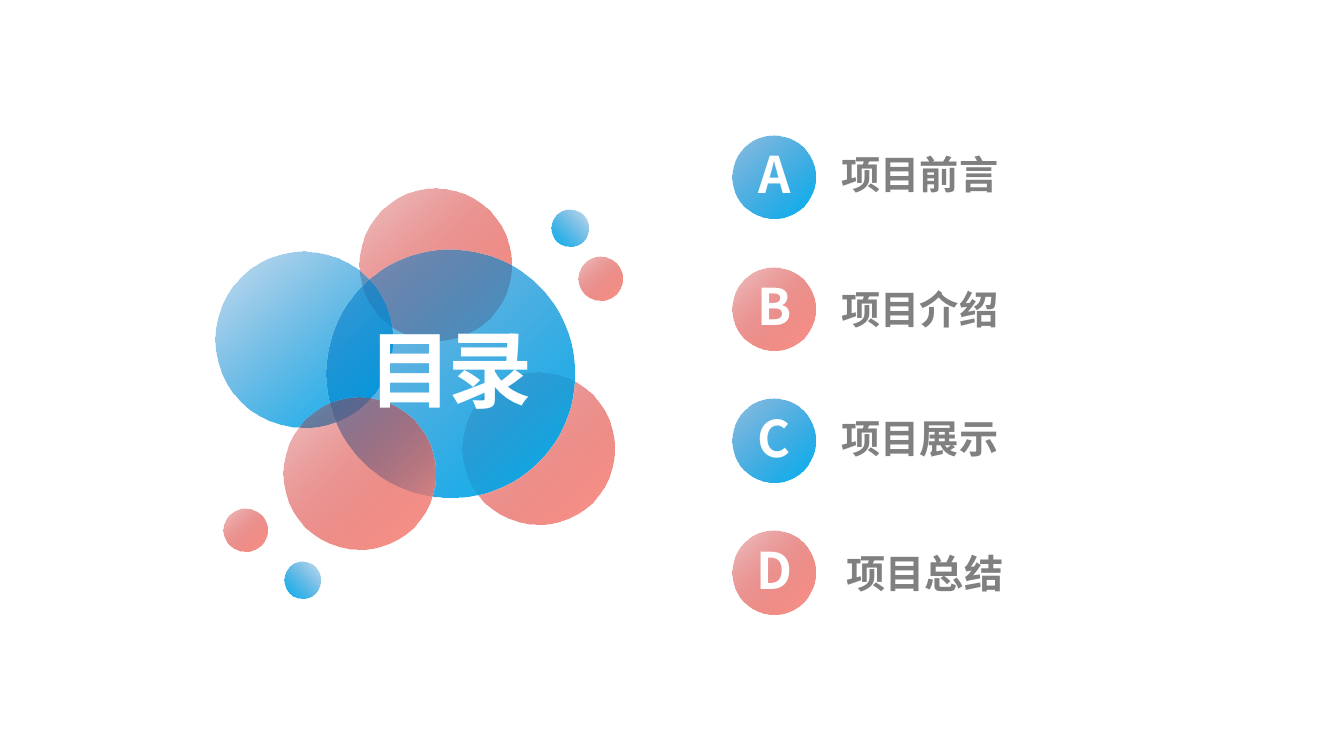
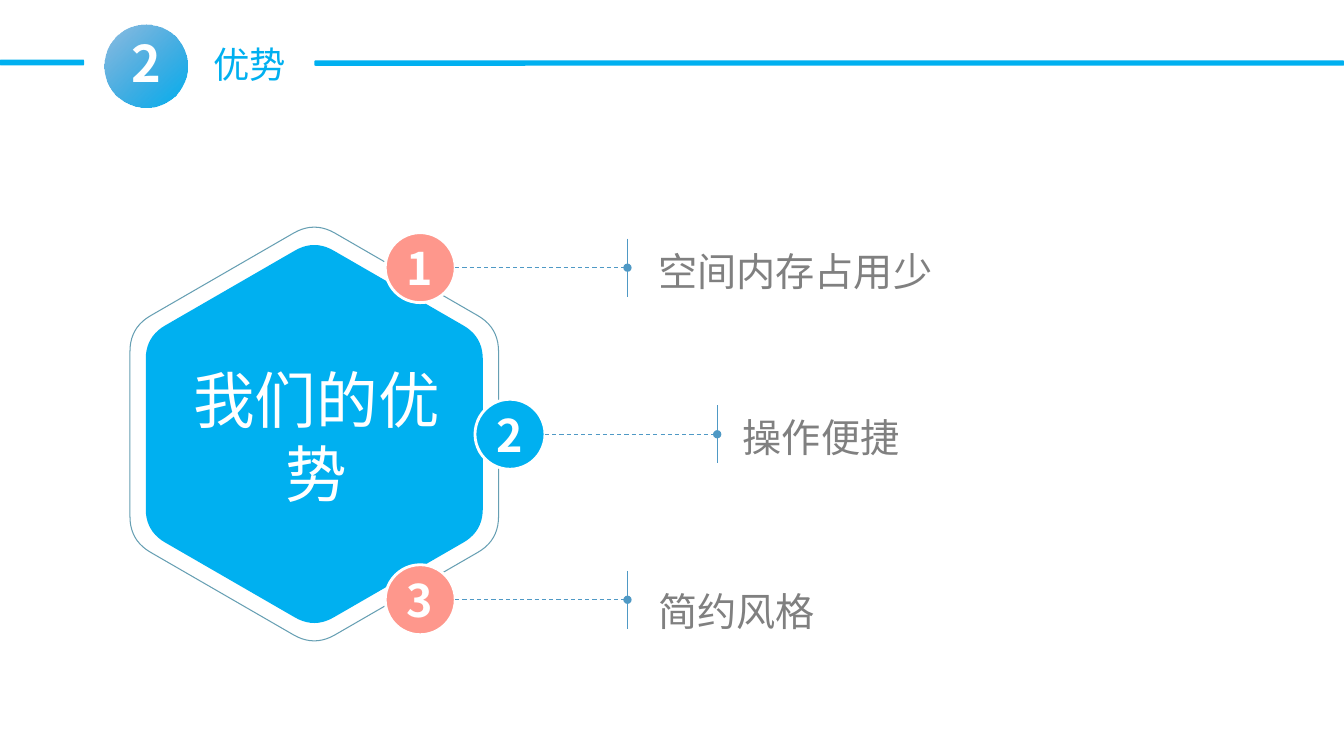
from dataclasses import dataclass
from math import cos, radians, sin
from typing import Any

from lxml.etree import SubElement
from pptx import Presentation
from pptx.dml.color import RGBColor
from pptx.enum.dml import MSO_LINE_DASH_STYLE as Dash
from pptx.enum.shapes import MSO_CONNECTOR as Connector, MSO_SHAPE as Preset
from pptx.enum.text import MSO_ANCHOR as Anchor, MSO_AUTO_SIZE as AutoSize, PP_ALIGN as Align
from pptx.oxml.ns import qn
from pptx.util import Pt

FONT = "Noto Sans CJK SC"
WHITE, GREY = "FFFFFF", "808080"
BLUE, DEEP_BLUE, STEEL, TEAL = "00B0F0", "0070C0", "4F99C5", "669FB3"
CORAL, DEEP_RED = "FE978C", "C00000"
BADGE_SIZE = 59.4


@dataclass(frozen=True)
class Box:
    left: float
    top: float
    width: float
    height: float

    def lengths(self) -> tuple:
        return Pt(self.left), Pt(self.top), Pt(self.width), Pt(self.height)


@dataclass(frozen=True)
class Tint:
    start: str
    end: str
    opacity: int
    angle: int = 48


@dataclass(frozen=True)
class Bubble:
    left: float
    top: float
    size: float
    tint: Tint


@dataclass(frozen=True)
class TextStyle:
    size: float
    color: str
    bold: bool = False
    align: Align = Align.LEFT
    spacing: int = 0


@dataclass(frozen=True)
class Entry:
    letter: str
    label: str
    left: float
    top: float


@dataclass(frozen=True)
class Advantage:
    number: str
    label: str
    center_x: float
    center_y: float
    fill: str
    label_left: float
    label_top: float


PALE_BLUE = Tint(DEEP_BLUE, BLUE, 22)
FULL_BLUE = Tint(DEEP_BLUE, BLUE, 44)
SMALL_BLUE = Tint(DEEP_BLUE, BLUE, 22, 135)
PALE_RED = Tint(DEEP_RED, CORAL, 22)

BADGE_STYLE = TextStyle(36, WHITE, True, Align.CENTER, -300)
COVER_STYLE = TextStyle(60, WHITE, True, Align.CENTER, -300)
ENTRY_STYLE = TextStyle(28, GREY, True)
TITLE_STYLE = TextStyle(26, BLUE)
HEXAGON_STYLE = TextStyle(44, WHITE, align=Align.CENTER)
NUMBER_STYLE = TextStyle(32, WHITE, True, Align.CENTER)
ADVANTAGE_STYLE = TextStyle(28, GREY, align=Align.JUSTIFY)

BUBBLES = [
    Bubble(256.5, 134.5, 109, PALE_RED),
    Bubble(330.6, 266.4, 108.6, PALE_RED),
    Bubble(154, 179.6, 126, PALE_BLUE),
    Bubble(233.2, 178.4, 177, FULL_BLUE),
    Bubble(394, 149.8, 26.2, SMALL_BLUE),
    Bubble(413.3, 183.6, 31, PALE_RED),
    Bubble(202.6, 283.8, 108.6, PALE_RED),
    Bubble(203, 401, 26.2, SMALL_BLUE),
    Bubble(159.8, 363, 31, PALE_RED),
]
ENTRIES = [
    Entry("A", "项目前言", 601.2, 103.7),
    Entry("B", "项目介绍", 601.2, 200.2),
    Entry("C", "项目展示", 601.2, 292.3),
    Entry("D", "项目总结", 604.8, 388.8),
]
ADVANTAGES = [
    Advantage("1", "空间内存占用少", 300.2, 191.2, CORAL, 470.2, 176.4),
    Advantage("2", "操作便捷", 364.3, 310.2, BLUE, 530.6, 295.2),
    Advantage("3", "简约风格", 300.2, 428.4, CORAL, 470.2, 419.8),
]


def colour(value: str) -> RGBColor:
    return RGBColor.from_string(value)


def apply(target: Any, values: dict) -> None:
    for name, value in values.items():
        setattr(target, name, value)


def paint(shape: Any, fill: str = "", line: str = "", width: float = 0.75) -> None:
    shape.shadow.inherit = False
    if fill:
        shape.fill.solid()
        shape.fill.fore_color.rgb = colour(fill)
    else:
        shape.fill.background()
    if line:
        shape.line.color.rgb = colour(line)
        shape.line.width = Pt(width)
    else:
        shape.line.fill.background()


def write(shape: Any, text: str, style: TextStyle) -> None:
    paragraph = shape.text_frame.paragraphs[0]
    paragraph.alignment = style.align
    run = paragraph.add_run()
    run.text = text
    apply(run.font, {"size": Pt(style.size), "bold": style.bold, "name": FONT})
    run.font.color.rgb = colour(style.color)
    properties = run._r.get_or_add_rPr()
    SubElement(properties, qn("a:ea")).set("typeface", FONT)
    if style.spacing:
        properties.set("spc", str(style.spacing))


def add_text(slide: Any, box: Box, text: str, style: TextStyle,
             insets: tuple = (7.2, 3.6, 7.2, 3.6), wrap: bool = True) -> None:
    shape = slide.shapes.add_textbox(*box.lengths())
    left, top, right, bottom = insets
    apply(shape.text_frame, {
        "word_wrap": wrap,
        "auto_size": AutoSize.SHAPE_TO_FIT_TEXT,
        "margin_left": Pt(left),
        "margin_top": Pt(top),
        "margin_right": Pt(right),
        "margin_bottom": Pt(bottom),
    })
    write(shape, text, style)


def add_bubble(slide: Any, bubble: Bubble) -> None:
    box = Box(bubble.left, bubble.top, bubble.size, bubble.size)
    shape = slide.shapes.add_shape(Preset.OVAL, *box.lengths())
    paint(shape)
    tint = bubble.tint
    shape.fill.gradient()
    shape.fill.gradient_angle = 360 - tint.angle
    stops = shape.fill.gradient_stops
    for stop, value, position in zip(stops, (tint.start, tint.end), (0, 1)):
        stop.color.rgb = colour(value)
        stop.position = position
    first_color = next(shape._element.spPr.iter(qn("a:srgbClr")))
    SubElement(first_color, qn("a:alpha")).set("val", str(tint.opacity * 1000))


def add_badge(slide: Any, left: float, top: float, text: str, tint: Tint) -> None:
    add_bubble(slide, Bubble(left, top, BADGE_SIZE, tint))
    add_text(slide, Box(left - 17, top + 2.2, 94.4, 51), text, BADGE_STYLE)


def add_bar(slide: Any, box: Box) -> None:
    paint(slide.shapes.add_shape(Preset.ROUNDED_RECTANGLE, *box.lengths()), BLUE)


def add_header(slide: Any, number: str, title: str) -> None:
    add_text(slide, Box(145.4, 26.6, 67, 38.9), title, TITLE_STYLE, wrap=False)
    add_bar(slide, Box(224.6, 43.2, 735.4, 3.8))
    add_bar(slide, Box(0, 42.6, 60, 4.2))
    add_badge(slide, 74.7, 17.3, number, FULL_BLUE)


def add_line(slide: Any, start: tuple, end: tuple, dashed: bool = False) -> None:
    connector = slide.shapes.add_connector(
        Connector.STRAIGHT, *(Pt(value) for value in start + end))
    connector.line.color.rgb = colour(STEEL)
    connector.line.width = Pt(0.75)
    if dashed:
        connector.line.dash_style = Dash.DASH
        SubElement(connector.line._get_or_add_ln(), qn("a:tailEnd")).set("type", "oval")
    SubElement(connector._element.spPr, qn("a:effectLst"))


def toward(start: tuple, end: tuple, share: float) -> tuple:
    return tuple(a + (b - a) * share for a, b in zip(start, end))


def add_hexagon(slide: Any, center: tuple, radius: float, cut: float,
                fill: str = "", line: str = "") -> None:
    corners = [(center[0] + radius * cos(radians(angle)),
                center[1] + radius * sin(radians(angle)))
               for angle in range(-90, 270, 60)]
    steps = 10
    points = []
    for index, corner in enumerate(corners):
        entry = toward(corner, corners[index - 1], cut / radius)
        leave = toward(corner, corners[(index + 1) % 6], cut / radius)
        for step in range(steps + 1):
            share = step / steps
            points.append(toward(toward(entry, corner, share),
                                 toward(corner, leave, share), share))
    outline = [(Pt(x), Pt(y)) for x, y in points]
    builder = slide.shapes.build_freeform(*outline[0], scale=1.0)
    builder.add_line_segments(outline[1:], close=True)
    paint(builder.convert_to_shape(), fill, line)


def add_number(slide: Any, item: Advantage) -> None:
    size = 50
    box = Box(item.center_x - size / 2, item.center_y - size / 2, size, size)
    shape = slide.shapes.add_shape(Preset.OVAL, *box.lengths())
    paint(shape, item.fill, WHITE, 2)
    shape.text_frame.vertical_anchor = Anchor.MIDDLE
    write(shape, item.number, NUMBER_STYLE)


def add_advantage(slide: Any, item: Advantage) -> None:
    add_number(slide, item)
    line_end = item.center_x + 148
    add_line(slide, (item.center_x + 25, item.center_y), (line_end, item.center_y), True)
    add_line(slide, (line_end, item.center_y - 20.7), (line_end, item.center_y + 20.7))
    add_text(slide, Box(item.label_left, item.label_top, 396, 33.8),
             item.label, ADVANTAGE_STYLE, (0, 0, 0, 0))


def build_contents(slide: Any) -> None:
    for bubble in BUBBLES:
        add_bubble(slide, bubble)
    add_text(slide, Box(235.4, 223.2, 172.8, 80), "目录", COVER_STYLE)
    for index, entry in enumerate(ENTRIES):
        tint = PALE_RED if index % 2 else FULL_BLUE
        add_badge(slide, 522.9, 96.6 + index * 94.2, entry.letter, tint)
        add_text(slide, Box(entry.left, entry.top, 312, 41), entry.label,
                 ENTRY_STYLE, (0, 3.6, 7.2, 3.6))


def build_advantages(slide: Any) -> None:
    add_header(slide, "2", "优势")
    center = (224.5, 310)
    add_hexagon(slide, center, 139, 16, fill=BLUE)
    add_text(slide, Box(135.4, 258.5, 181.4, 106.6), "我们的优势",
             HEXAGON_STYLE, (0, 0, 0, 0))
    add_hexagon(slide, center, 152, 17, line=TEAL)
    for item in ADVANTAGES:
        add_advantage(slide, item)


def main() -> None:
    presentation = Presentation()
    apply(presentation, {"slide_width": Pt(960), "slide_height": Pt(540)})
    for build in (build_contents, build_advantages):
        build(presentation.slides.add_slide(presentation.slide_layouts[6]))
    presentation.save("out.pptx")


if __name__ == "__main__":
    main()
